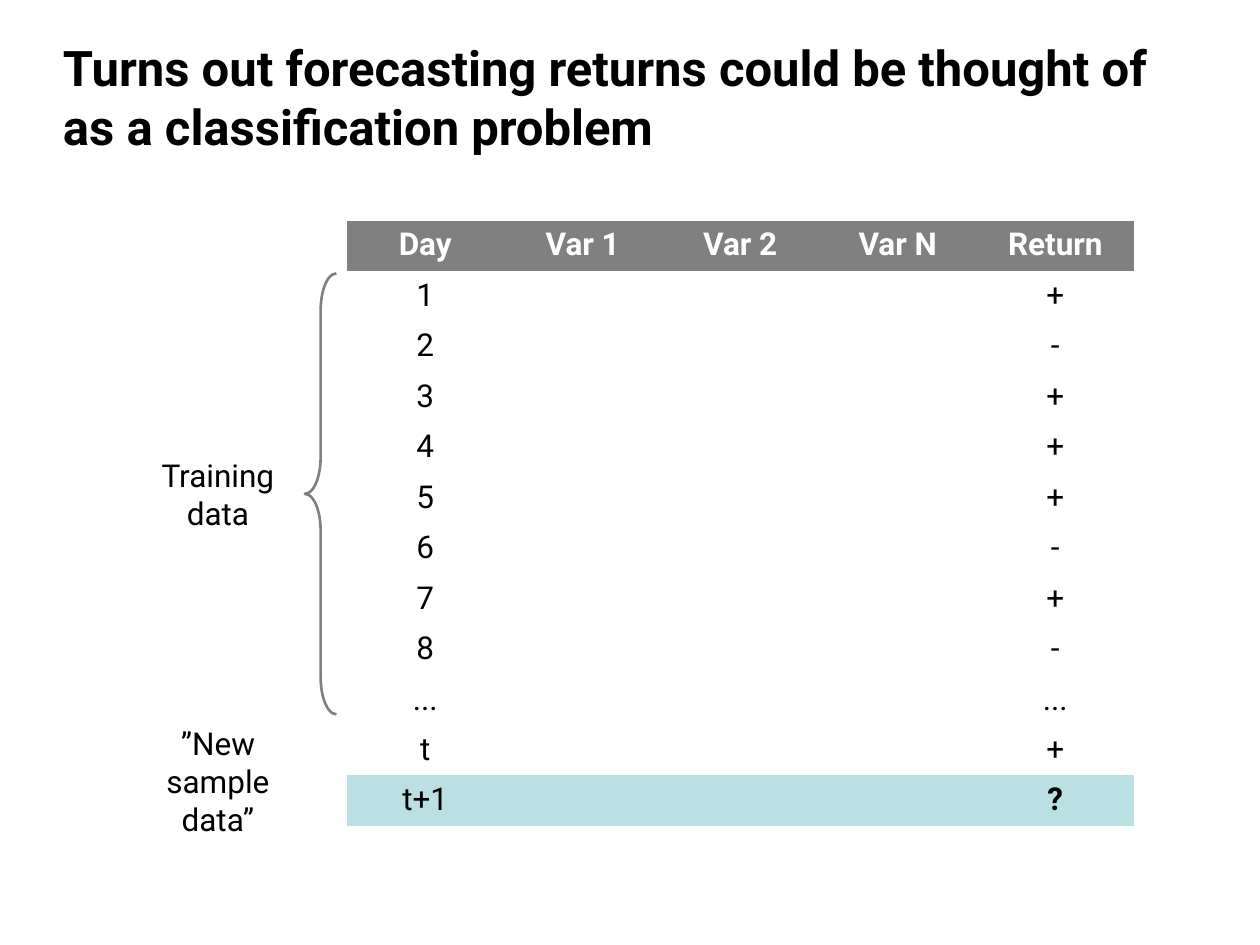
from dataclasses import dataclass

from pptx import Presentation
from pptx.dml.color import RGBColor
from pptx.enum.shapes import MSO_SHAPE
from pptx.enum.text import PP_ALIGN
from pptx.oxml.ns import qn
from pptx.util import Inches, Pt

LEFT_BRACE = MSO_SHAPE.LEFT_BRACE
LEFT, CENTER = PP_ALIGN.LEFT, PP_ALIGN.CENTER
NO_TABLE_STYLE = "{2D5ABB26-0587-4C30-8999-92F81FD0307C}"


@dataclass(frozen=True)
class Theme:
    font: str = "Roboto"
    title_size: Pt = Pt(28)
    body_size: Pt = Pt(18)
    text: RGBColor = RGBColor(0, 0, 0)
    header_text: RGBColor = RGBColor(255, 255, 255)
    gray: RGBColor = RGBColor(0x80, 0x80, 0x80)
    highlight: RGBColor = RGBColor(0xBB, 0xE0, 0xE3)


theme = Theme()


def style_paragraph(paragraph, size, color=theme.text, bold=False, alignment=CENTER):
    paragraph.alignment = alignment
    font = paragraph.font
    font.name, font.size, font.bold = theme.font, size, bold
    font.color.rgb = color


def add_text(lines, left, top, width, height, size, **style):
    frame = slide.shapes.add_textbox(
        Inches(left), Inches(top), Inches(width), Inches(height)
    ).text_frame
    frame.word_wrap = True
    frame.margin_left = frame.margin_right = frame.margin_top = frame.margin_bottom = 0
    frame.text = "\n".join(lines)
    for paragraph in frame.paragraphs:
        style_paragraph(paragraph, size, **style)


presentation = Presentation()
presentation.slide_width, presentation.slide_height = Inches(10), Inches(7.5)
slide = presentation.slides.add_slide(presentation.slide_layouts[6])

add_text(
    ["Turns out forecasting returns could be thought of as a classification problem"],
    0.5, 0.3, 9, 1.25, theme.title_size, bold=True, alignment=LEFT,
)

# Returns table: only the day and the sign of the return are filled in
header = ["Day", "Var 1", "Var 2", "Var N", "Return"]
days = ["1", "2", "3", "4", "5", "6", "7", "8", "...", "t", "t+1"]
returns = ["+", "-", "+", "+", "+", "-", "+", "-", "...", "+", "?"]
rows = [header] + [[day, "", "", "", sign] for day, sign in zip(days, returns)]
last_row = len(rows) - 1
row_height = Inches(0.39)

table = slide.shapes.add_table(
    len(rows), len(header), Inches(2.75), Inches(1.75),
    Inches(6.25), row_height * len(rows),
).table
table.horz_banding = False
table._tbl.tblPr.find(qn("a:tableStyleId")).text = NO_TABLE_STYLE

for row_index, values in enumerate(rows):
    table.rows[row_index].height = row_height
    for column_index, value in enumerate(values):
        cell = table.cell(row_index, column_index)
        cell.text = value
        is_header = row_index == 0
        style_paragraph(
            cell.text_frame.paragraphs[0],
            theme.body_size,
            color=theme.header_text if is_header else theme.text,
            bold=is_header or value == "?",
        )
        if is_header or row_index == last_row:
            cell.fill.solid()
            cell.fill.fore_color.rgb = theme.gray if is_header else theme.highlight
        else:
            cell.fill.background()

# Labels beside the table
add_text(["Training", "data"], 1.28, 3.62, 0.9, 0.6, theme.body_size)
add_text(["”New sample", "data”"], 1.03, 5.75, 1.4, 0.9, theme.body_size)

brace = slide.shapes.add_shape(
    LEFT_BRACE, Inches(2.42), Inches(2.17), Inches(0.25), Inches(3.5)
)
brace.adjustments[0] = 1.17
brace.shadow.inherit = False
brace.fill.background()
brace.line.color.rgb = theme.gray
brace.line.width = Pt(1.5)

presentation.save("out.pptx")
